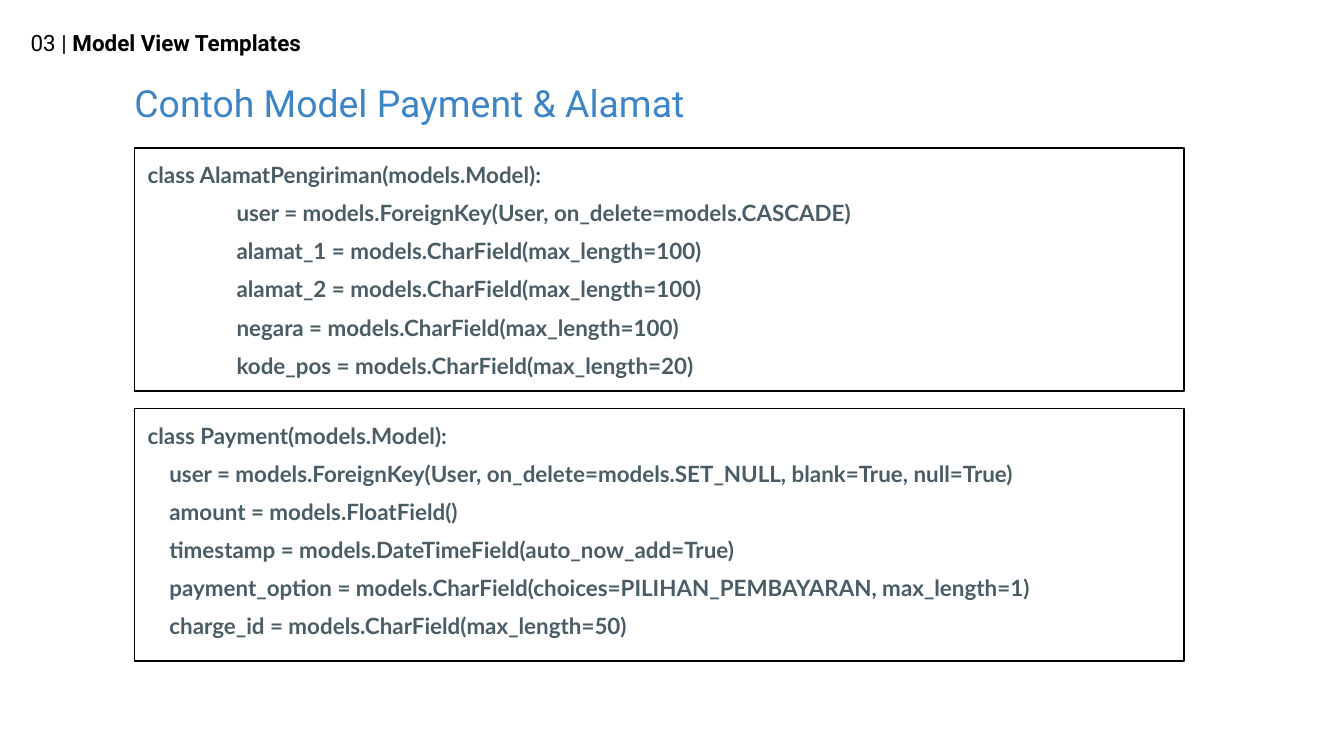
from pptx import Presentation
from pptx.dml.color import RGBColor
from pptx.enum.shapes import MSO_SHAPE
from pptx.enum.text import MSO_ANCHOR, MSO_AUTO_SIZE, PP_ALIGN
from pptx.util import Inches, Pt

RECT = MSO_SHAPE.RECTANGLE
TOP, MIDDLE = MSO_ANCHOR.TOP, MSO_ANCHOR.MIDDLE
LEFT = PP_ALIGN.LEFT
NO_FIT = MSO_AUTO_SIZE.NONE

COLORS = {"black": "000000", "title": "3D85C6", "code": "4A5C65"}
W = 10
H = W * 9 / 16
MARGIN = 0.1 * W
CODE_W = 7.81


def set_frame(sp, anchor):
    tf = sp.text_frame
    tf.word_wrap = True
    tf.auto_size = NO_FIT
    tf.vertical_anchor = anchor
    tf.margin_left = tf.margin_right = Inches(0.1)
    tf.margin_top = tf.margin_bottom = Inches(0.1)
    return tf


def style_run(r, font, size, color, bold=False):
    r.font.name = font
    r.font.size = Pt(size)
    r.font.bold = bold
    r.font.color.rgb = RGBColor.from_string(COLORS[color])


prs = Presentation()
prs.slide_width, prs.slide_height = Inches(W), Inches(H)
s = prs.slides.add_slide(prs.slide_layouts[5])

title = s.shapes.title
title.left, title.top = Inches(MARGIN - 0.1), Inches(0.1 * H)
title.width, title.height = Inches(7.48), Inches(0.46)
tf = set_frame(title, MIDDLE)
tf.text = "Contoh Model Payment & Alamat"
p = tf.paragraphs[0]
p.alignment = LEFT
p.line_spacing = 0.8
style_run(p.runs[0], "Roboto", 20, "title")

header = s.shapes.add_textbox(Inches(0.13), Inches(0.07), Inches(3.52), Inches(0.5))
p = set_frame(header, MIDDLE).paragraphs[0]
for text, bold in [("03 |", False), (" Model View Templates", True)]:
    r = p.add_run()
    r.text = text
    style_run(r, "Roboto", 12, "black", bold)

code_boxes = [
    (1.1, 1.81, 0.5, """class AlamatPengiriman(models.Model):
    user = models.ForeignKey(User, on_delete=models.CASCADE)
    alamat_1 = models.CharField(max_length=100)
    alamat_2 = models.CharField(max_length=100)
    negara = models.CharField(max_length=100)
    kode_pos = models.CharField(max_length=20)"""),
    (3.04, 1.88, 0, """class Payment(models.Model):
    user = models.ForeignKey(User, on_delete=models.SET_NULL, blank=True, null=True)
    amount = models.FloatField()
    timestamp = models.DateTimeField(auto_now_add=True)
    payment_option = models.CharField(choices=PILIHAN_PEMBAYARAN, max_length=1)
    charge_id = models.CharField(max_length=50)"""),
]
for top, height, indent, code in code_boxes:
    sp = s.shapes.add_shape(RECT, Inches(MARGIN), Inches(top), Inches(CODE_W), Inches(height))
    sp.shadow.inherit = False
    sp.fill.background()
    sp.line.color.rgb = RGBColor.from_string(COLORS["black"])
    sp.line.width = Pt(0.75)
    tf = set_frame(sp, TOP)
    tf.text = code
    for i, p in enumerate(tf.paragraphs):
        p.alignment = LEFT
        if i:
            p.space_before = Pt(6)
            p._p.get_or_add_pPr().set("marL", str(Inches(indent)))
        style_run(p.runs[0], "Lato", 12, "code", True)

prs.save("out.pptx")
